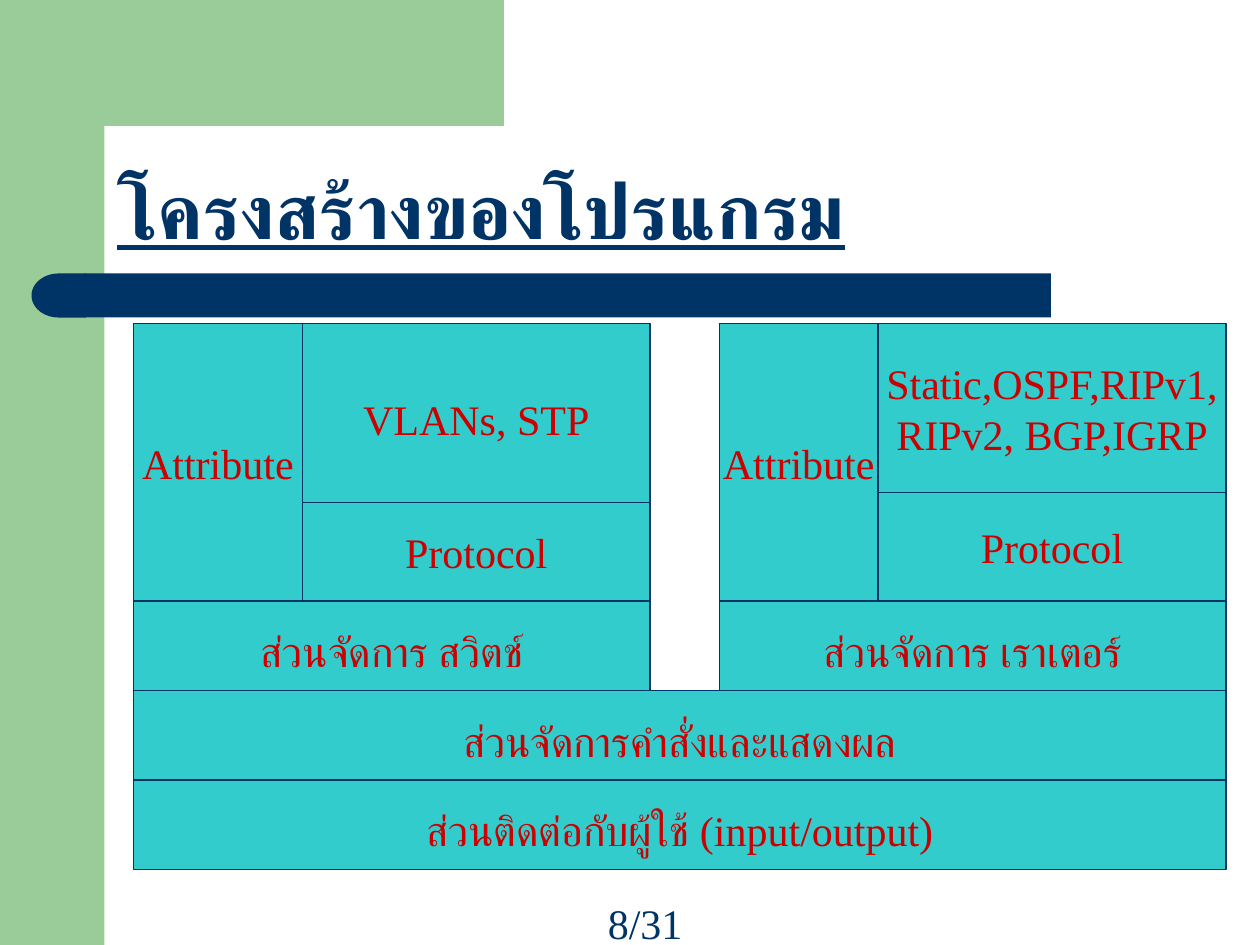
import math

import pptx
from lxml import etree
from pptx.dml.color import RGBColor
from pptx.enum.shapes import MSO_SHAPE
from pptx.enum.text import MSO_ANCHOR, MSO_AUTO_SIZE, PP_ALIGN
from pptx.oxml.ns import qn
from pptx.util import Inches, Pt

GREEN = RGBColor(0x99, 0xCC, 0x99)
NAVY = RGBColor(0x00, 0x33, 0x66)
TEAL = RGBColor(0x33, 0xCC, 0xCC)
RED = RGBColor(0xCC, 0x00, 0x00)

TITLE = "โครงสร้างของโปรแกรม"
PAGE_NUMBER = "8/31"
BODY_FONT = "Times New Roman"

# Column edges, split height and wording of each upper stack
STACKS = [
    {"edges": (1.06, 2.4, 5.16), "split": 3.99, "attribute": "Attribute",
     "detail": ["VLANs, STP"], "detail_inset": 0.13,
     "protocol": "Protocol", "manager": "ส่วนจัดการ สวิตช์"},
    {"edges": (5.71, 6.97, 9.73), "split": 3.91, "attribute": "Attribute",
     "detail": ["Static,OSPF,RIPv1,", "RIPv2, BGP,IGRP"], "detail_inset": 0.05,
     "protocol": "Protocol", "manager": "ส่วนจัดการ เราเตอร์"},
]
BASE_LAYERS = ["ส่วนจัดการคำสั่งและแสดงผล", "ส่วนติดต่อกับผู้ใช้ (input/output)"]
STACK_TOP, MANAGER_TOP, LAYER_HEIGHT = 2.57, 4.77, 0.71
LAYER_INSET = 0.13


def style_paragraph(para, latin, size, color, align):
    para.alignment = align
    para.font.name = latin
    para.font.size = Pt(size)
    para.font.color.rgb = color
    # Thai script takes the complex-script font
    defaults = para._p.find(".//" + qn("a:defRPr"))
    etree.SubElement(defaults, qn("a:cs")).set("typeface", BODY_FONT)


def write_lines(shape, lines, color, top_inset=0.05):
    frame = shape.text_frame
    frame.word_wrap = False
    frame.vertical_anchor = MSO_ANCHOR.MIDDLE
    frame.margin_top = Inches(top_inset)
    frame.text = "\n".join(lines)
    for para in frame.paragraphs:
        style_paragraph(para, BODY_FONT, 24, color, PP_ALIGN.CENTER)


def paint(shape, color):
    shape.shadow.inherit = False
    shape.fill.solid()
    shape.fill.fore_color.rgb = color
    shape.line.fill.background()


def add_band(page, kind, left, top, width, height, color):
    shape = page.shapes.add_shape(
        kind, Inches(left), Inches(top), Inches(width), Inches(height))
    paint(shape, color)
    return shape


def add_block(page, left, top, right, bottom, lines, top_inset=0.05):
    block = add_band(page, MSO_SHAPE.RECTANGLE, left, top,
                     right - left, bottom - top, TEAL)
    block.line.color.rgb = NAVY
    block.line.width = Pt(0.75)
    write_lines(block, lines, RED, top_inset)


def add_background(page):
    add_band(page, MSO_SHAPE.RECTANGLE, 0, 0, 0.83, 7.5, GREEN)
    center, radius = 1.16, 0.33
    angles = [math.radians(step * 7.5) for step in range(13)]
    curve = [(center - radius * math.sin(a), center - radius * math.cos(a))
             for a in angles]
    points = [(3.5, 0), (3.5, 0.83), *curve, (0.83, 1.28), (0.5, 1.28), (0.5, 0)]
    builder = page.shapes.build_freeform(*points[0], scale=Inches(1))
    builder.add_line_segments(points[1:], close=True)
    paint(builder.convert_to_shape(), GREEN)
    add_band(page, MSO_SHAPE.RECTANGLE, 0.67, 2.17, 7.67, 0.35, NAVY)
    cap = add_band(page, MSO_SHAPE.FLOWCHART_DELAY, 0.25, 2.17, 0.43, 0.35, NAVY)
    cap.rotation = 180


def add_title(page):
    title = page.shapes.title
    title.left, title.top = Inches(0.83), Inches(0.83)
    title.width, title.height = Inches(8.67), Inches(1.25)
    frame = title.text_frame
    frame.auto_size = MSO_AUTO_SIZE.NONE
    frame.vertical_anchor = MSO_ANCHOR.BOTTOM
    frame.text = TITLE
    para = frame.paragraphs[0]
    style_paragraph(para, "Arial", 44, NAVY, PP_ALIGN.LEFT)
    para.line_spacing = 0.9
    para.font.bold = True
    para.font.underline = True


def add_stack(page, stack):
    left, middle, right = stack["edges"]
    split = stack["split"]
    add_block(page, left, STACK_TOP, middle, MANAGER_TOP, [stack["attribute"]])
    add_block(page, middle, split, right, MANAGER_TOP, [stack["protocol"]])
    add_block(page, middle, STACK_TOP, right, split,
              stack["detail"], stack["detail_inset"])
    add_block(page, left, MANAGER_TOP, right, MANAGER_TOP + LAYER_HEIGHT,
              [stack["manager"]], LAYER_INSET)


def main():
    deck = pptx.Presentation()
    deck.slide_width, deck.slide_height = Inches(10), Inches(7.5)
    page = deck.slides.add_slide(deck.slide_layouts[5])
    add_background(page)
    add_title(page)
    for stack in STACKS:
        add_stack(page, stack)
    left, right = STACKS[0]["edges"][0], STACKS[-1]["edges"][-1]
    for row, label in enumerate(BASE_LAYERS, start=1):
        top = MANAGER_TOP + row * LAYER_HEIGHT
        add_block(page, left, top, right, top + LAYER_HEIGHT, [label], LAYER_INSET)
    number = page.shapes.add_textbox(
        Inches(4.37), Inches(7.14), Inches(1.5), Inches(0.36))
    write_lines(number, [PAGE_NUMBER], NAVY)
    deck.save("out.pptx")


if __name__ == "__main__":
    main()
